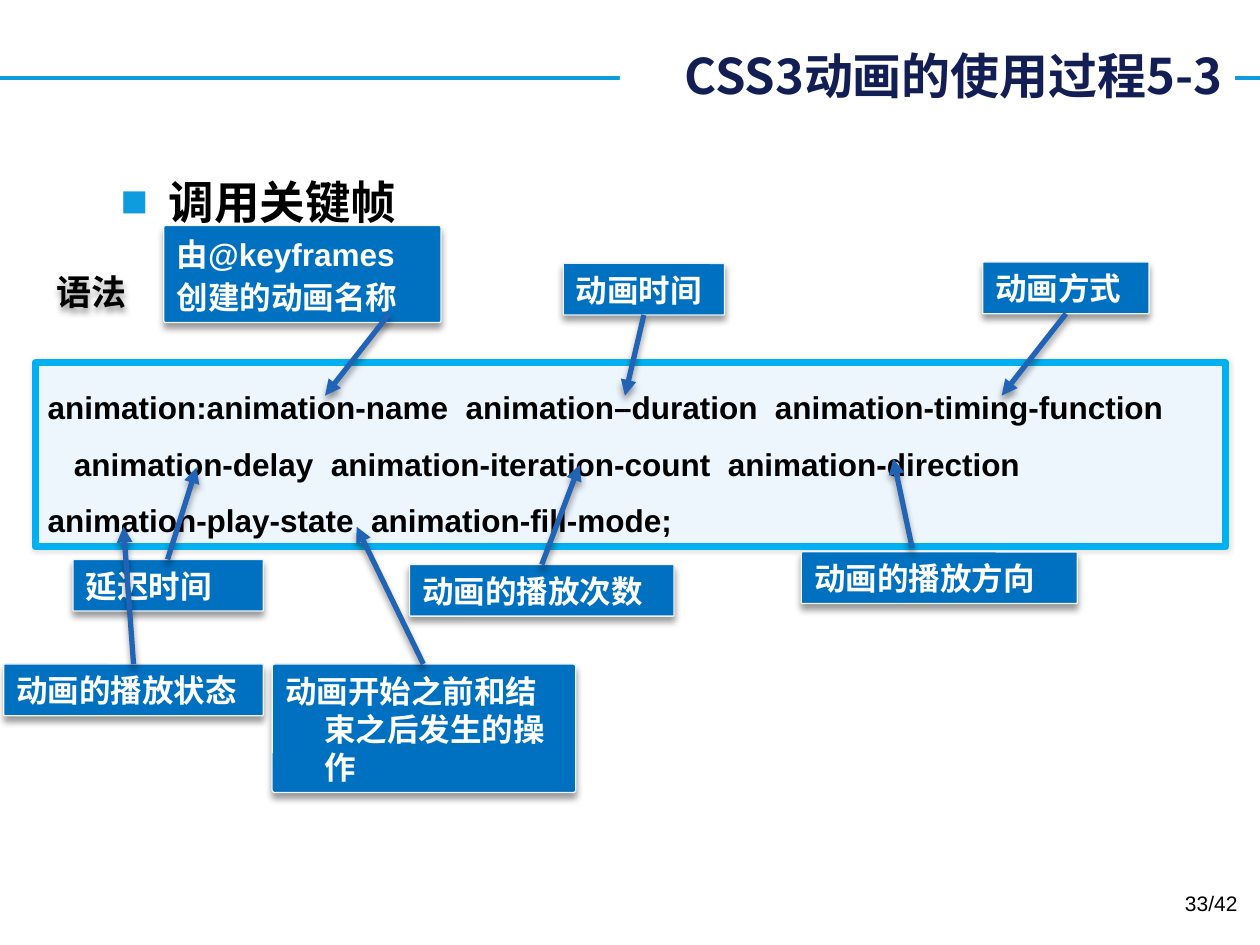
from dataclasses import dataclass
from lxml import etree
from pptx import Presentation
from pptx import util as u
from pptx.dml.color import RGBColor
from pptx.enum import shapes, text
from pptx.oxml import ns

IN = u.Inches


@dataclass(frozen=True)
class Theme:
    latin: str = "Arial"
    han: str = "Noto Sans CJK SC"
    black: str = "000000"
    white: str = "FFFFFF"
    navy: str = "121E54"
    rule: str = "0E9CDE"
    label: str = "0070C0"
    edge: str = "F2F2F2"
    pale: str = "EDF5FD"
    frame: str = "00B0F0"
    arrow: str = "2163B4"
    title: int = 28
    head: int = 26
    mid: int = 20
    body: int = 18
    foot: int = 12


def color(hue):
    return RGBColor.from_string(hue)


def child(node, tag, **attrs):
    return etree.SubElement(node, ns.qn(tag), attrs)


class Deck:
    drop = (40, 4, 3, 90)
    glow = (10, 3, 0, 0)

    def __init__(self, theme):
        self.theme = theme
        self.file = Presentation()
        self.file.slide_width, self.file.slide_height = IN(10), IN(7.5)
        self.slide = self.file.slides.add_slide(self.file.slide_layouts[6])

    def shade(self, item, cast=None):
        fx = child(item._element.spPr, "a:effectLst")
        if cast:
            alpha, blur, dist, angle = cast
            node = child(fx, "a:outerShdw", blurRad=str(u.Pt(blur)),
                         dist=str(u.Pt(dist)), dir=str(angle * 60000),
                         algn="ctr", rotWithShape="0")
            tint = child(node, "a:srgbClr", val=self.theme.black)
            child(tint, "a:alpha", val=str(alpha * 1000))

    def letter(self, item, lines, size, hue, bold=True, face=None, side="LEFT",
               anchor="TOP", wrap=True, hang=0, gap=0, space=None, mark=None):
        frame = item.text_frame
        frame.word_wrap = wrap
        frame.vertical_anchor = text.MSO_ANCHOR[anchor]
        for i, line in enumerate(lines):
            para = frame.paragraphs[0] if i == 0 else frame.add_paragraph()
            para.text = line
            para.alignment = text.PP_ALIGN[side]
            if space:
                para.line_spacing = space
            if gap and i:
                para.space_before = u.Pt(gap)
            props = para._p.get_or_add_pPr()
            if hang:
                props.set("marL", str(IN(hang)))
                props.set("indent", str(-IN(hang)))
            if mark:
                child(child(props, "a:buClr"), "a:srgbClr", val=self.theme.rule)
                child(props, "a:buFont", typeface=self.theme.latin)
                child(props, "a:buChar", char=mark)
            font = para.font
            font.size, font.bold = u.Pt(size), bold
            font.name = face or self.theme.latin
            font.color.rgb = color(hue)
            child(font._element, "a:ea", typeface=self.theme.han)

    def note(self, box, lines, size, hue, cast=None, **style):
        item = self.slide.shapes.add_textbox(*map(IN, box))
        if cast:
            self.shade(item, cast)
        self.letter(item, lines, size, hue, **style)

    def panel(self, box, fill, edge=None, width=0, cast=None, curve=None):
        kind = shapes.MSO_SHAPE
        form = kind.RECTANGLE if curve is None else kind.ROUNDED_RECTANGLE
        item = self.slide.shapes.add_shape(form, *map(IN, box))
        if curve is not None:
            item.adjustments[0] = curve
        item.fill.solid()
        item.fill.fore_color.rgb = color(fill)
        if edge:
            item.line.color.rgb = color(edge)
            item.line.width = u.Pt(width)
        else:
            item.line.fill.background()
        self.shade(item, cast)
        return item

    def line(self, start, end, hue, width, head=False):
        item = self.slide.shapes.add_connector(
            shapes.MSO_CONNECTOR.STRAIGHT, *map(IN, (*start, *end)))
        item.line.color.rgb = color(hue)
        item.line.width = u.Pt(width)
        if head:
            child(item.line._get_or_add_ln(), "a:tailEnd", type="triangle")
        self.shade(item, self.drop if head else None)

    def title(self, box, words):
        look = self.theme
        self.letter(self.panel(box, look.white), [words], look.title, look.navy,
                    face=look.han, side="RIGHT", anchor="MIDDLE", wrap=False)

    def code(self, box, lines):
        look = self.theme
        item = self.panel(box, look.pale, look.frame, 4, self.glow, 0)
        self.letter(item, lines, look.body, look.black, space=1.5)

    def label(self, box, lines, start, end):
        look = self.theme
        item = self.panel(box, look.label, look.edge, 0.75, self.drop, 0.02)
        self.letter(item, lines, look.body, look.white,
                    anchor="BOTTOM", hang=0.31, gap=3)
        self.line(start, end, look.arrow, 3, head=True)


LABELS = [
    ((1.3, 1.79, 2.2, 0.77), ["由@keyframes", "创建的动画名称"],
     (3.09, 2.49), (2.58, 3.14)),
    ((4.47, 2.09, 1.28, 0.41), ["动画时间"], (5.11, 2.5), (4.96, 3.14)),
    ((7.8, 2.08, 1.32, 0.41), ["动画方式"], (8.46, 2.49), (7.95, 3.14)),
    ((0.58, 4.44, 1.51, 0.41), ["延迟时间"], (1.33, 4.44), (1.56, 3.71)),
    ((3.25, 4.48, 2.1, 0.41), ["动画的播放次数"], (4.3, 4.48), (4.6, 3.69)),
    ((6.36, 4.38, 2.19, 0.41), ["动画的播放方向"], (7.24, 4.35), (7.09, 3.64)),
    ((0.03, 5.27, 2.06, 0.41), ["动画的播放状态"], (1.06, 5.27), (0.98, 4.18)),
    ((2.16, 5.27, 2.41, 1.02), ["动画开始之前和结束之后发生的操作"],
     (3.36, 5.27), (2.83, 4.18)),
]
CODE = [
    "animation:animation-name  animation–duration  animation-timing-function",
    "   animation-delay  animation-iteration-count  animation-direction",
    "animation-play-state  animation-fill-mode;",
]


def main():
    look = Theme()
    deck = Deck(look)
    deck.line((0, 0.62), (10, 0.62), look.rule, 2.25)
    deck.title((4.92, 0.31, 4.88, 0.57), "CSS3动画的使用过程5-3")
    deck.note((0.86, 1.33, 9.14, 0.55), ["调用关键帧"], look.head, look.black,
              hang=0.38, mark="■")
    deck.code((0.28, 2.88, 9.45, 1.46), CODE)
    deck.note((0.35, 2.09, 0.77, 0.44), ["语法"], look.mid, look.black,
              cast=deck.drop, face=look.han, anchor="MIDDLE", wrap=False)
    for label in LABELS:
        deck.label(*label)
    deck.note((7.59, 7.02, 2.33, 0.4), ["33/42"], look.foot, look.black,
              bold=False, side="RIGHT")
    deck.file.save("out.pptx")


if __name__ == "__main__":
    main()
